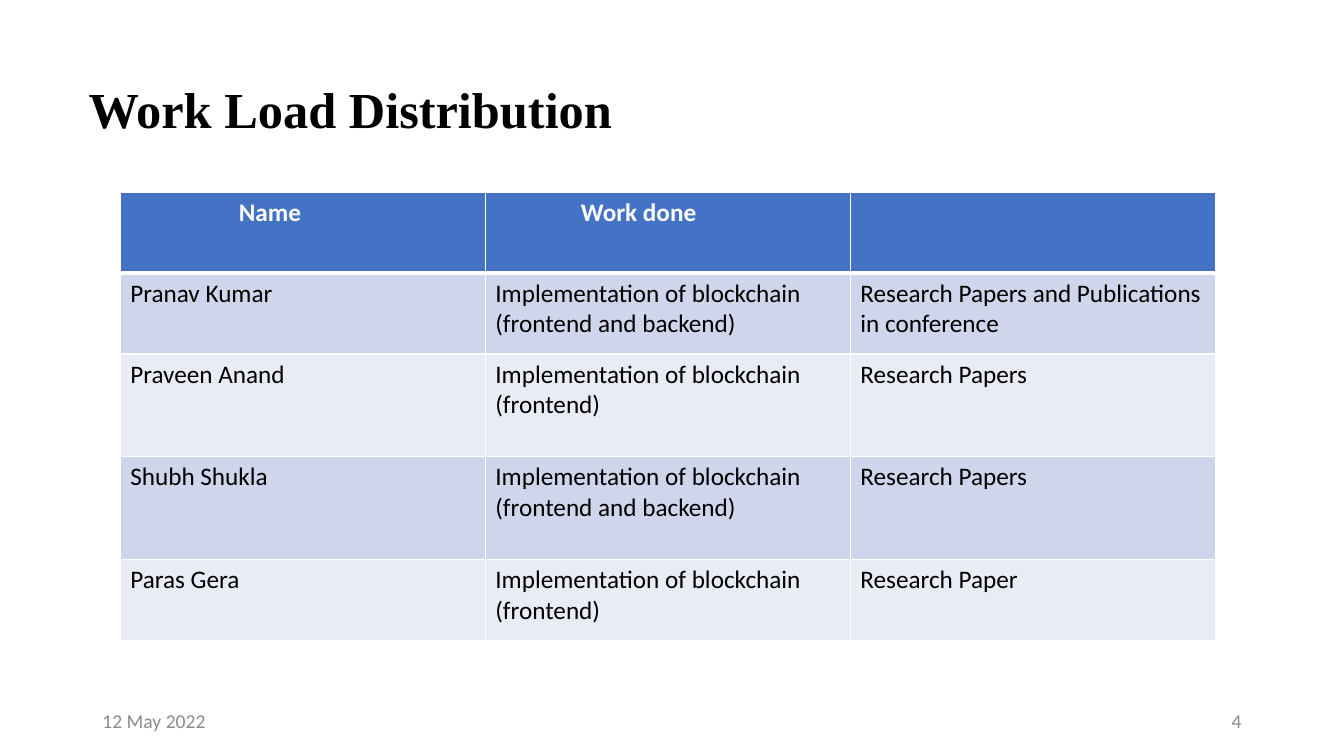
from lxml.etree import SubElement
from pptx import Presentation
from pptx.dml.color import RGBColor
from pptx.enum.text import MSO_ANCHOR, PP_ALIGN
from pptx.oxml.ns import qn
from pptx.util import Cm, Pt

BLACK = RGBColor(0x00, 0x00, 0x00)
WHITE = RGBColor(0xFF, 0xFF, 0xFF)
GREY = RGBColor(0x8C, 0x8C, 0x8C)
HEADER_BLUE = RGBColor(0x44, 0x72, 0xC4)
BANDS = (RGBColor(0xCF, 0xD5, 0xEA), RGBColor(0xE9, 0xEB, 0xF5))

HEADINGS = ("Name", "Work done", "")
HEADING_INSETS = (Cm(2.99), Cm(2.41), Cm(0.25))
FULL_STACK = "Implementation of blockchain (frontend and backend)"
FRONTEND = "Implementation of blockchain (frontend)"
WORKLOAD = (
    ("Pranav Kumar", FULL_STACK, "Research Papers and Publications in conference"),
    ("Praveen Anand", FRONTEND, "Research Papers"),
    ("Shubh Shukla", FULL_STACK, "Research Papers"),
    ("Paras Gera", "Implementation of blockchain\n(frontend)", "Research Paper"),
)
ROW_HEIGHTS = (Cm(2.04), Cm(2.04), Cm(2.59), Cm(2.59), Cm(2.04))


def write(paragraph, wording, size, color, font="Calibri", bold=False):
    run = paragraph.add_run()
    run.text = wording
    run.font.name = font
    run.font.size = Pt(size)
    run.font.bold = bold
    run.font.color.rgb = color


def add_title(slide, left, top, width, height):
    title = slide.shapes.title
    title.left, title.top, title.width, title.height = left, top, width, height
    title.text_frame.vertical_anchor = MSO_ANCHOR.MIDDLE
    heading = title.text_frame.paragraphs[0]
    heading.alignment = PP_ALIGN.LEFT
    heading.line_spacing = 0.9
    write(heading, "Work Load Distribution", 36, BLACK, "Times New Roman", True)


def set_borders(cell, **widths):
    properties = cell._tc.get_or_add_tcPr()
    for side in ("L", "R", "T", "B"):
        border = SubElement(properties, qn(f"a:ln{side}"), w=str(Pt(widths.get(side, 1))))
        fill = SubElement(border, qn("a:solidFill"))
        SubElement(fill, qn("a:srgbClr"), val=str(WHITE))


def fill_cell(cell, wording, fill, color, bold):
    cell.fill.solid()
    cell.fill.fore_color.rgb = fill
    frame = cell.text_frame
    for number, line in enumerate(wording.split("\n")):
        paragraph = frame.add_paragraph() if number else frame.paragraphs[0]
        if line:
            write(paragraph, line, 18, color, bold=bold)


def add_workload_table(slide, left, top, width):
    table = slide.shapes.add_table(
        len(ROW_HEIGHTS), len(HEADINGS), left, top, width, sum(ROW_HEIGHTS)).table
    for column in table.columns:
        column.width = width // len(HEADINGS)
    for row, height in zip(table.rows, ROW_HEIGHTS):
        row.height = height

    # Header row
    for column, (heading, inset) in enumerate(zip(HEADINGS, HEADING_INSETS)):
        cell = table.cell(0, column)
        cell.margin_left = inset
        set_borders(cell, B=3)
        fill_cell(cell, heading, HEADER_BLUE, WHITE, True)

    # One banded row per member
    for row, member in enumerate(WORKLOAD, start=1):
        for column, wording in enumerate(member):
            cell = table.cell(row, column)
            set_borders(cell, T=3 if row == 1 else 1)
            fill_cell(cell, wording, BANDS[(row - 1) % 2], BLACK, False)


def add_footer(slide, left, top, width, height):
    part_width = Cm(7.62)
    parts = (("12 May 2022", left, PP_ALIGN.LEFT),
             ("4", left + width - part_width, PP_ALIGN.RIGHT))
    for wording, part_left, alignment in parts:
        frame = slide.shapes.add_textbox(part_left, top, part_width, height).text_frame
        frame.word_wrap = True
        frame.vertical_anchor = MSO_ANCHOR.MIDDLE
        frame.paragraphs[0].alignment = alignment
        write(frame.paragraphs[0], wording, 14, GREY)


presentation = Presentation()
presentation.slide_width, presentation.slide_height = Cm(33.87), Cm(19.05)
workload_slide = presentation.slides.add_slide(presentation.slide_layouts[5])

add_title(workload_slide, Cm(1.98), Cm(1.57), Cm(29.21), Cm(2.49))
add_workload_table(workload_slide, Cm(3.03), Cm(4.84), Cm(27.6))
add_footer(workload_slide, Cm(2.33), Cm(17.66), Cm(29.21), Cm(1.01))

presentation.save("out.pptx")
